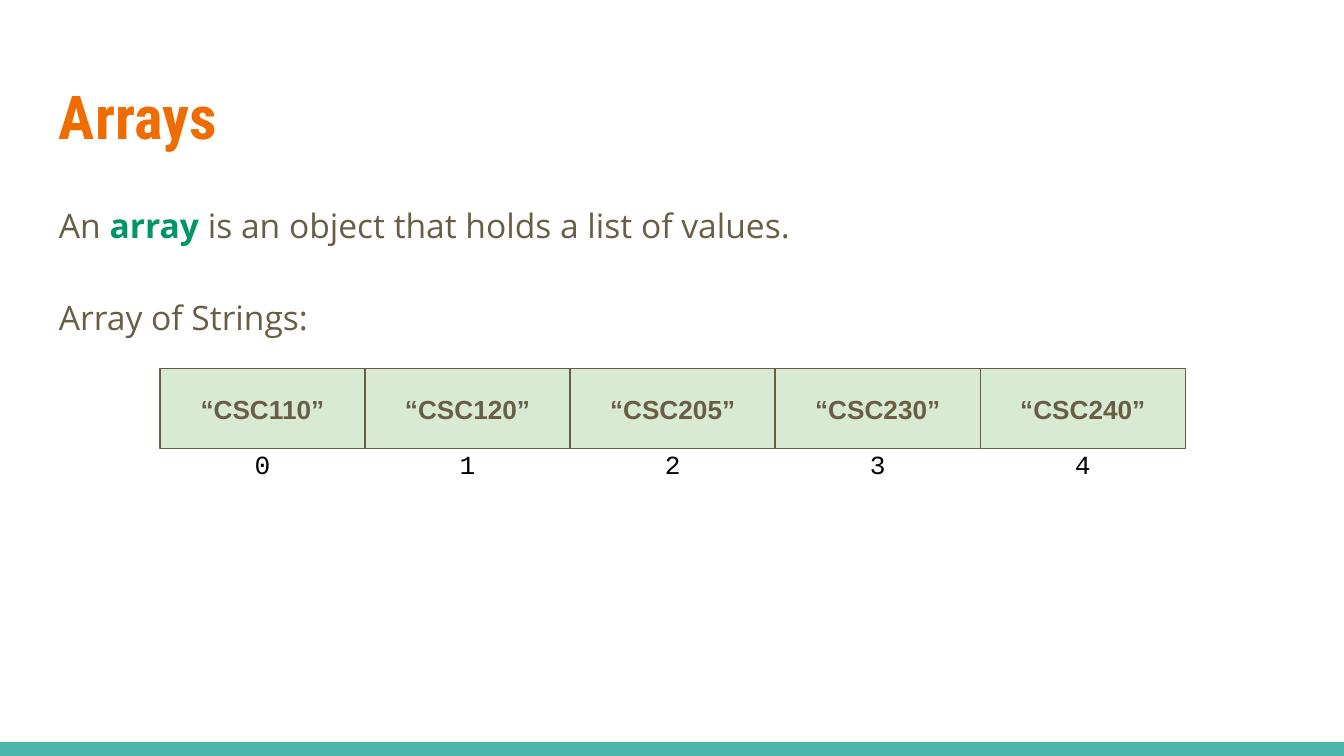
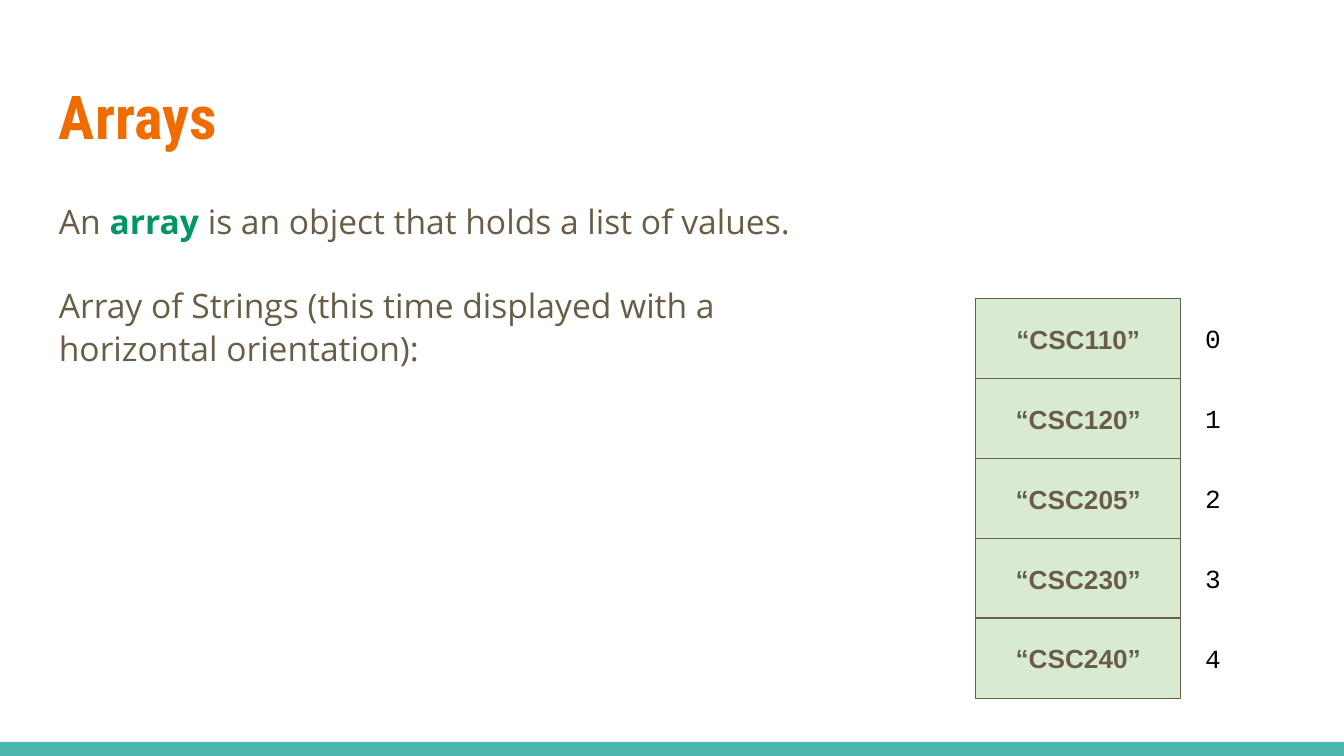
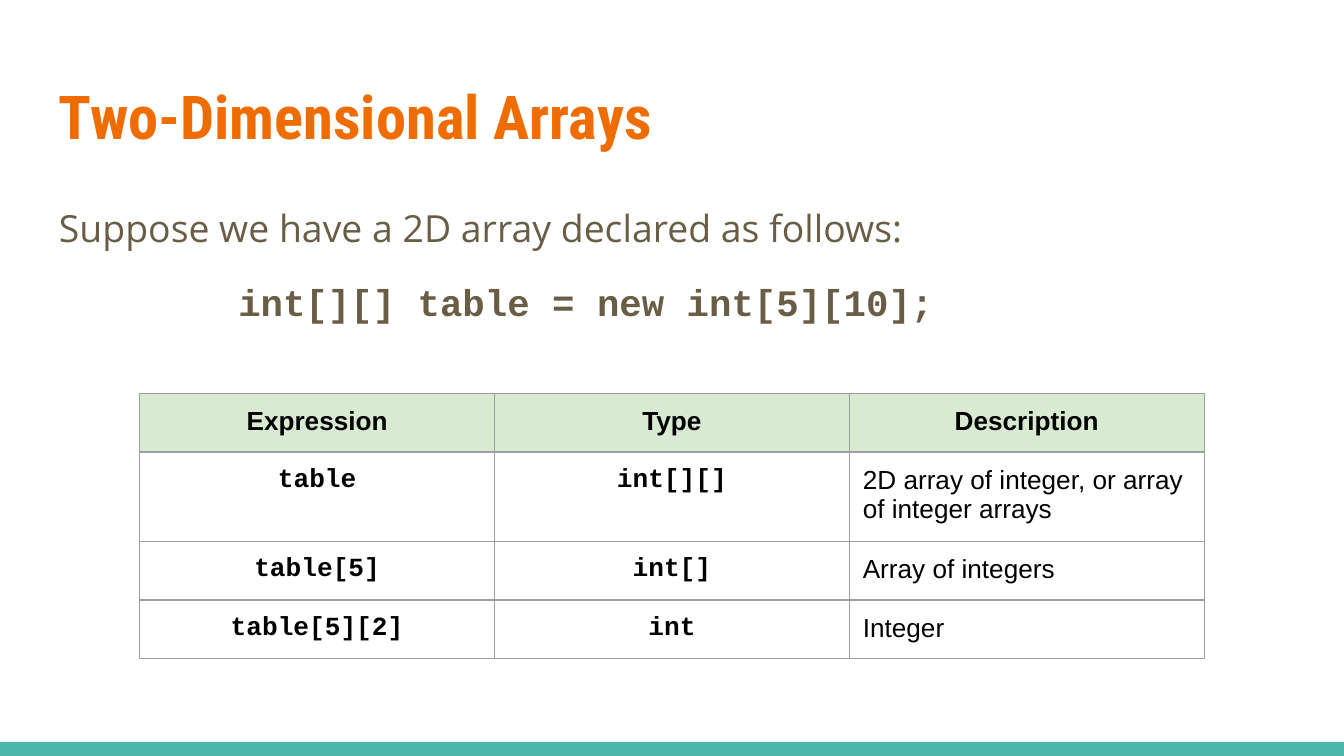
from dataclasses import dataclass
from typing import NamedTuple

from lxml.etree import SubElement
from pptx import Presentation
from pptx.dml.color import RGBColor
from pptx.enum.shapes import MSO_SHAPE
from pptx.enum.text import MSO_ANCHOR as Anchor, PP_ALIGN as Align
from pptx.oxml.ns import qn
from pptx.util import Inches, Pt

COLORS = {
    "background": "FFFFFF",
    "band": "4DB6AC",
    "title": "EF6C00",
    "body": "695D46",
    "keyword": "009668",
    "cell": "D9EAD3",
    "ink": "000000",
    "grid": "9E9E9E",
}
SANS, MONO, BODY, HEADING = "Arial", "Courier New", "Open Sans", "Roboto Condensed"
COURSES = ["“CSC110”", "“CSC120”", "“CSC205”", "“CSC230”", "“CSC240”"]
CELL_WIDTH, CELL_HEIGHT = 7.63 / len(COURSES), 0.6
INDEX_HEIGHT = 0.23
EXPRESSIONS = [
    ("Expression", "Type", "Description"),
    ("table", "int[][]", "2D array of integer, or array of integer arrays"),
    ("table[5]", "int[]", "Array of integers"),
    ("table[5][2]", "int", "Integer"),
]
COLUMN_WIDTH, ROW_HEIGHT = 2.64, 0.42


class Box(NamedTuple):
    left: float
    top: float
    width: float
    height: float

    def lengths(self):
        return [Inches(side) for side in self]


class Run(NamedTuple):
    text: str
    color: str = "body"
    bold: bool = False


@dataclass
class ArrayLayout:
    first_cell: Box
    step_x: float
    step_y: float
    first_index: Box


DEFINITION = [
    Run("An "),
    Run("array ", "keyword", True),
    Run("is an object that holds a list of values."),
]


def rgb(name: str) -> RGBColor:
    return RGBColor.from_string(COLORS[name])


def add_text(paragraph, text, *, font=BODY, size=18, color="body", bold=False,
             align=Align.LEFT, line_spacing=None, before=0):
    paragraph.alignment = align
    if line_spacing:
        paragraph.line_spacing = line_spacing
    if before:
        paragraph.space_before = Pt(before)
    runs = [Run(text, color, bold)] if isinstance(text, str) else text
    for part in runs:
        run = paragraph.add_run()
        run.text = part.text
        run.font.name = font
        run.font.size = Pt(size)
        run.font.bold = part.bold
        run.font.color.rgb = rgb(part.color)


def set_margins(holder):
    holder.margin_left = holder.margin_right = Inches(0.1)
    holder.margin_top = holder.margin_bottom = Inches(0.1)


def set_frame(frame, anchor=Anchor.TOP):
    frame.word_wrap = True
    frame.vertical_anchor = anchor
    set_margins(frame)
    return frame


def add_box(slide, box: Box, anchor=Anchor.TOP):
    return set_frame(slide.shapes.add_textbox(*box.lengths()).text_frame, anchor)


def add_rectangle(slide, box: Box, fill: str, line: str = ""):
    rectangle = slide.shapes.add_shape(MSO_SHAPE.RECTANGLE, *box.lengths())
    rectangle.shadow.inherit = False
    rectangle.fill.solid()
    rectangle.fill.fore_color.rgb = rgb(fill)
    if line:
        rectangle.line.color.rgb = rgb(line)
        rectangle.line.width = Pt(0.75)
    else:
        rectangle.line.fill.background()
    return rectangle


def add_titled_slide(deck, title: str):
    slide = deck.slides.add_slide(deck.slide_layouts[6])
    slide.background.fill.solid()
    slide.background.fill.fore_color.rgb = rgb("background")
    add_rectangle(slide, Box(0, 5.52, 10, 0.11), "band")
    heading = add_box(slide, Box(0.34, 0.49, 9.32, 0.77))
    add_text(heading.paragraphs[0], title, font=HEADING, size=32.4,
             color="title", bold=True)
    return slide


def draw_array(slide, layout: ArrayLayout):
    for index, course in enumerate(COURSES):
        dx, dy = index * layout.step_x, index * layout.step_y
        cell_box, index_box = (
            box._replace(left=box.left + dx, top=box.top + dy)
            for box in (layout.first_cell, layout.first_index)
        )
        cell = add_rectangle(slide, cell_box, "cell", "body")
        add_text(set_frame(cell.text_frame, Anchor.MIDDLE).paragraphs[0], course,
                 font=SANS, size=14, bold=True, align=Align.CENTER)
        label = add_box(slide, index_box, Anchor.MIDDLE)
        add_text(label.paragraphs[0], str(index), font=MONO, size=14,
                 color="ink", align=Align.CENTER)


def add_array_slide(deck, layout: ArrayLayout, caption: str, body_width: float,
                    line_spacing: float, gap: float):
    slide = add_titled_slide(deck, "Arrays")
    draw_array(slide, layout)
    body = add_box(slide, Box(0.34, 1.38, body_width, 1.53))
    add_text(body.paragraphs[0], DEFINITION, line_spacing=line_spacing)
    add_text(body.add_paragraph(), caption, line_spacing=line_spacing, before=gap)


def set_borders(cell):
    properties = cell._tc.get_or_add_tcPr()
    for side in ("a:lnL", "a:lnR", "a:lnT", "a:lnB"):
        border = SubElement(properties, qn(side), w=str(Pt(0.75)))
        fill = SubElement(border, qn("a:solidFill"))
        SubElement(fill, qn("a:srgbClr"), val=COLORS["grid"])


def add_expression_table(slide):
    rows, columns = len(EXPRESSIONS), len(EXPRESSIONS[0])
    box = Box(1.04, 2.93, 3.28, 3.28)
    table = slide.shapes.add_table(rows, columns, *box.lengths()).table
    table.first_row = table.horz_banding = False
    for column in table._tbl.tblGrid.gridCol_lst:
        column.w = Inches(COLUMN_WIDTH)
    for row in table._tbl.tr_lst:
        row.h = Inches(ROW_HEIGHT)
    for row_index, entries in enumerate(EXPRESSIONS):
        is_header = row_index == 0
        for column_index, entry in enumerate(entries):
            is_description = column_index == columns - 1 and not is_header
            cell = table.cell(row_index, column_index)
            set_margins(cell)
            set_borders(cell)
            if is_header:
                cell.fill.solid()
                cell.fill.fore_color.rgb = rgb("cell")
            else:
                cell.fill.background()
            add_text(cell.text_frame.paragraphs[0], entry, size=14, color="ink",
                     font=SANS if is_header or is_description else MONO,
                     bold=not is_description,
                     align=Align.LEFT if is_description else Align.CENTER)


def add_two_dimensional_slide(deck):
    slide = add_titled_slide(deck, "Two-Dimensional Arrays")
    body = add_box(slide, Box(0.34, 1.38, 9.32, 1.29))
    add_text(body.paragraphs[0], "Suppose we have a 2D array declared as follows:",
             size=20, line_spacing=1.15)
    declaration = body.add_paragraph()
    declaration._p.get_or_add_pPr().set("marL", str(Inches(0.5)))
    add_text(declaration, "     int[][] table = new int[5][10];", font=MONO,
             size=20, bold=True, line_spacing=1.15, before=12)
    add_expression_table(slide)


def main():
    deck = Presentation()
    deck.slide_width = Inches(10)
    deck.slide_height = Inches(10) * 9 // 16
    across = ArrayLayout(
        first_cell=Box(1.19, 2.74, CELL_WIDTH, CELL_HEIGHT),
        step_x=CELL_WIDTH,
        step_y=0,
        first_index=Box(1.19, 3.34, CELL_WIDTH, INDEX_HEIGHT),
    )
    down = ArrayLayout(
        first_cell=Box(7.26, 2.22, CELL_WIDTH, CELL_HEIGHT),
        step_x=0,
        step_y=2.38 / (len(COURSES) - 1),
        first_index=Box(8.78, 2.4, 0.49, INDEX_HEIGHT),
    )
    add_array_slide(deck, across, "Array of Strings:", 9.32, 1.15, 24.5)
    add_array_slide(
        deck, down,
        "Array of Strings (this time displayed with a horizontal orientation):",
        6.14, 1.05, 22.5)
    add_two_dimensional_slide(deck)
    deck.save("out.pptx")


if __name__ == "__main__":
    main()
